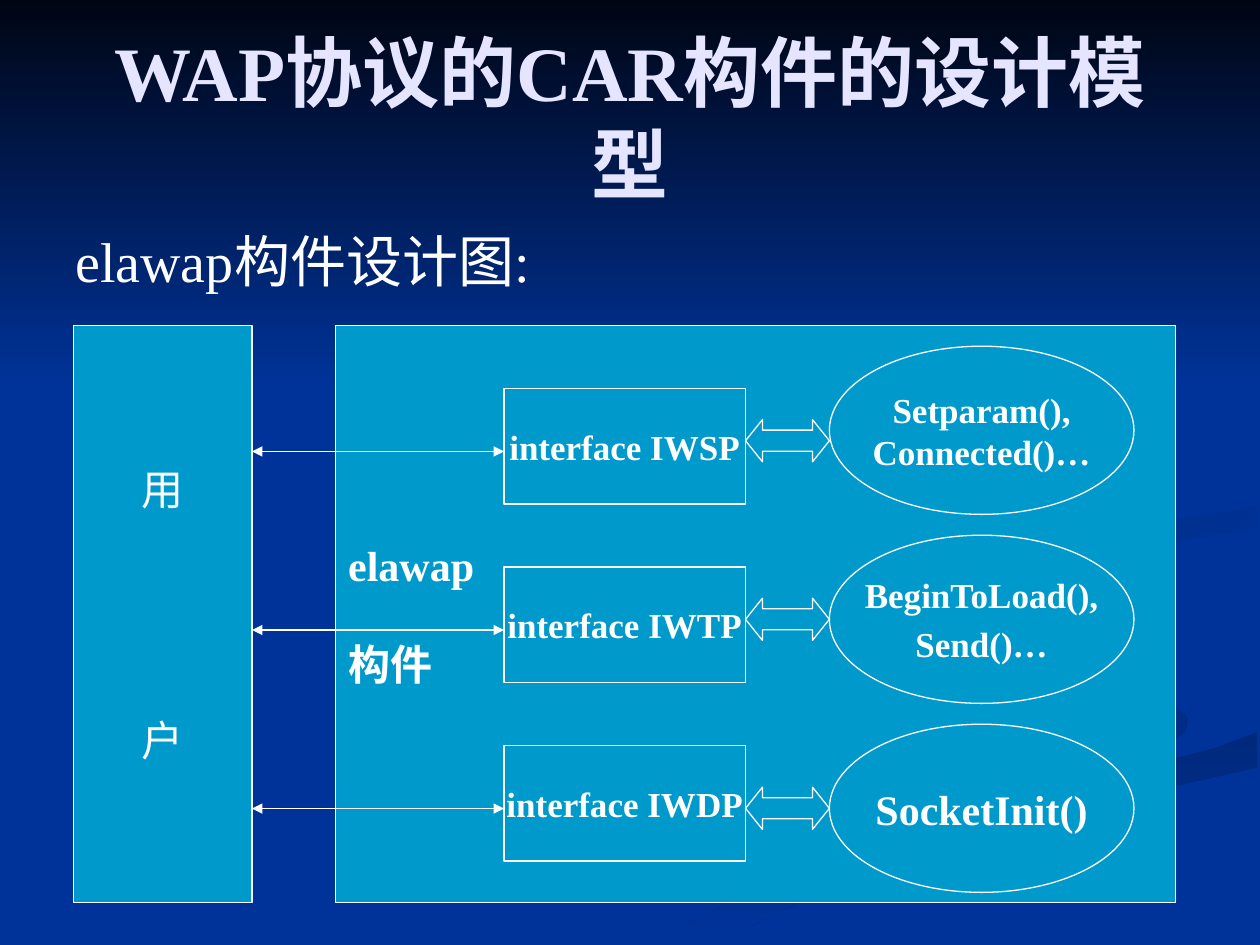
import pptx
import pptx.util
import pptx.dml.color
import pptx.enum.shapes
import pptx.enum.text
from lxml import etree
from pptx.util import Cm, Pt

RGBColor = pptx.dml.color.RGBColor
SHAPE = pptx.enum.shapes.MSO_SHAPE
ALIGN = pptx.enum.text.PP_ALIGN
ANCHOR = pptx.enum.text.MSO_ANCHOR

NAVY = RGBColor(0x00, 0x33, 0x99)
NIGHT = RGBColor(0x00, 0x05, 0x14)
SWIRL_DARK = RGBColor(0x00, 0x2C, 0x85)
SWIRL_DEEP = RGBColor(0x00, 0x29, 0x7C)
TEAL = RGBColor(0x00, 0x99, 0xCC)
WHITE = RGBColor(0xFF, 0xFF, 0xFF)
LAVENDER = RGBColor(0xE5, 0xE5, 0xFF)
FONT = "Times New Roman"
DRAWING = "http://schemas.openxmlformats.org/drawingml/2006/main"

# Swirl outlines in hundredths of a centimetre
UPPER_SWIRL = [(2536, 1021), (2280, 1062), (2040, 1110), (1984, 1168), (2050, 1240),
               (2098, 1259), (2045, 1209), (2054, 1173), (2140, 1138), (2375, 1090),
               (2535, 1067)]
MIDDLE_SWIRL = [(2395, 1448), (2334, 1389), (2210, 1346), (2010, 1293), (1862, 1227),
                (1839, 1179), (1862, 1240), (1946, 1300), (2129, 1361), (2235, 1394),
                (2314, 1439), (2332, 1476), (2286, 1527), (2271, 1537), (2350, 1506),
                (2390, 1476)]
LOWER_SWIRL = [(1318, 1897), (1278, 1902), (1450, 1902), (1560, 1844), (1702, 1778),
               (1910, 1707), (2187, 1626), (2410, 1575), (2535, 1547), (2535, 1476),
               (2446, 1509), (2290, 1549), (2024, 1621), (1768, 1699), (1521, 1793)]

# Interface name, its functions, their text size, space between their lines
ROWS = [("interface IWSP", ["Setparam(),", "Connected()…"], 20, 0),
        ("interface IWTP", ["BeginToLoad(),", "Send()…"], 20, 4),
        ("interface IWDP", ["SocketInit()"], 24, 0)]
ARROW_TOPS = [1.9, 5.5, 9.31]


def shade(shape, first, last, angle):
    """Fill a borderless shape with a two-colour gradient."""
    shape.shadow.inherit = False
    shape.line.fill.background()
    shape.fill.gradient()
    shape.fill.gradient_angle = angle
    for stop, colour in zip(shape.fill.gradient_stops, (first, last)):
        stop.color.rgb = colour


def write(frame, lines, size, colour=WHITE, bold=False, align=ALIGN.CENTER, gap=0):
    for index, line in enumerate(lines):
        para = frame.add_paragraph() if index else frame.paragraphs[0]
        para.text = line
        para.alignment = align
        if index and gap:
            para.space_before = Pt(gap)
        para.font.name = FONT
        para.font.size = Pt(size)
        para.font.bold = bold
        para.font.color.rgb = colour


def add_block(page, kind, left, top, width, height):
    block = page.shapes.add_shape(kind, Cm(left), Cm(top), Cm(width), Cm(height))
    block.shadow.inherit = False
    block.fill.solid()
    block.fill.fore_color.rgb = TEAL
    block.line.color.rgb = WHITE
    block.line.width = Pt(0.75)
    block.text_frame.word_wrap = False
    block.text_frame.vertical_anchor = ANCHOR.MIDDLE
    return block


def add_double_arrow(page, left, right, y):
    line = page.shapes.add_connector(pptx.enum.shapes.MSO_CONNECTOR.STRAIGHT,
                                     Cm(left), Cm(y), Cm(right), Cm(y))
    line.line.color.rgb = WHITE
    line.line.width = Pt(0.75)
    outline = line.line._get_or_add_ln()
    for end in ("headEnd", "tailEnd"):
        etree.SubElement(outline, f"{{{DRAWING}}}{end}", type="triangle")
    etree.SubElement(line._element.spPr, f"{{{DRAWING}}}effectLst")


def draw_backdrop(page, width, height):
    page.background.fill.solid()
    page.background.fill.fore_color.rgb = NAVY
    for points, last, first, angle in ((UPPER_SWIRL, SWIRL_DARK, NAVY, 135),
                                       (MIDDLE_SWIRL, NAVY, SWIRL_DARK, 135),
                                       (LOWER_SWIRL, NAVY, SWIRL_DEEP, 270)):
        builder = page.shapes.build_freeform(*points[0], scale=Cm(0.01))
        builder.add_line_segments(points[1:], close=True)
        shade(builder.convert_to_shape(), first, last, angle)
    sky = page.shapes.add_shape(SHAPE.RECTANGLE, 0, 0, Cm(width), Cm(height))
    shade(sky, NIGHT, NAVY, 270)


def place_headings(page, left, top, width):
    title = page.shapes.title
    title.left, title.top, title.width, title.height = (
        Cm(left), Cm(top), Cm(width), Cm(3.18))
    frame = title.text_frame
    frame.auto_size = pptx.enum.text.MSO_AUTO_SIZE.NONE
    frame.vertical_anchor = ANCHOR.MIDDLE
    write(frame, ["WAP协议的CAR构件的设计模型"], 44, LAVENDER, True)
    # Caption of the diagram
    caption = page.shapes.add_textbox(Cm(left), Cm(top + 3.68), Cm(width), Cm(1.8))
    caption.text_frame.word_wrap = True
    write(caption.text_frame, ["elawap构件设计图:"], 32, align=ALIGN.LEFT)


def draw_user(page, left, top, width, height):
    user = add_block(page, SHAPE.RECTANGLE, left, top, width, height)
    write(user.text_frame, ["用", "户"], 24, gap=115)


def draw_component(page, left, top, width, height, user_edge):
    panel = add_block(page, SHAPE.RECTANGLE, left, top, width, height)
    write(panel.text_frame, ["elawap", "构件"], 24, bold=True, align=ALIGN.LEFT, gap=28)
    for index, (interface, functions, size, gap) in enumerate(ROWS):
        # Interface box and its link to the user
        box_left = left + 3.39
        box = add_block(page, SHAPE.RECTANGLE, box_left, top + 1.27 + 3.6 * index,
                        4.87, 2.33)
        write(box.text_frame, [interface], 20, bold=True)
        add_double_arrow(page, user_edge, box_left, top + 2.54 + 3.6 * index)
        # Functions behind the interface
        oval = add_block(page, SHAPE.OVAL, left + 9.95, top + 0.42 + 3.81 * index,
                         6.14, 3.39)
        write(oval.text_frame, functions, size, bold=True, gap=gap)
        arrow = add_block(page, SHAPE.LEFT_RIGHT_ARROW, left + 8.26,
                          top + ARROW_TOPS[index], 1.69, 0.85)
        arrow.adjustments[1] = 0.4


def main():
    deck = pptx.Presentation()
    deck.slide_width, deck.slide_height = Cm(25.4), Cm(19.05)
    page = deck.slides.add_slide(deck.slide_layouts[5])
    draw_backdrop(page, 25.4, 7.82)
    # Bring the title in front of the backdrop
    page.shapes._spTree.append(page.shapes.title._element)
    place_headings(page, 1.27, 0.76, 22.86)
    draw_user(page, 1.48, 6.56, 3.6, 11.64)
    draw_component(page, 6.77, 6.56, 16.93, 11.64, user_edge=5.08)
    deck.save("out.pptx")


if __name__ == "__main__":
    main()
